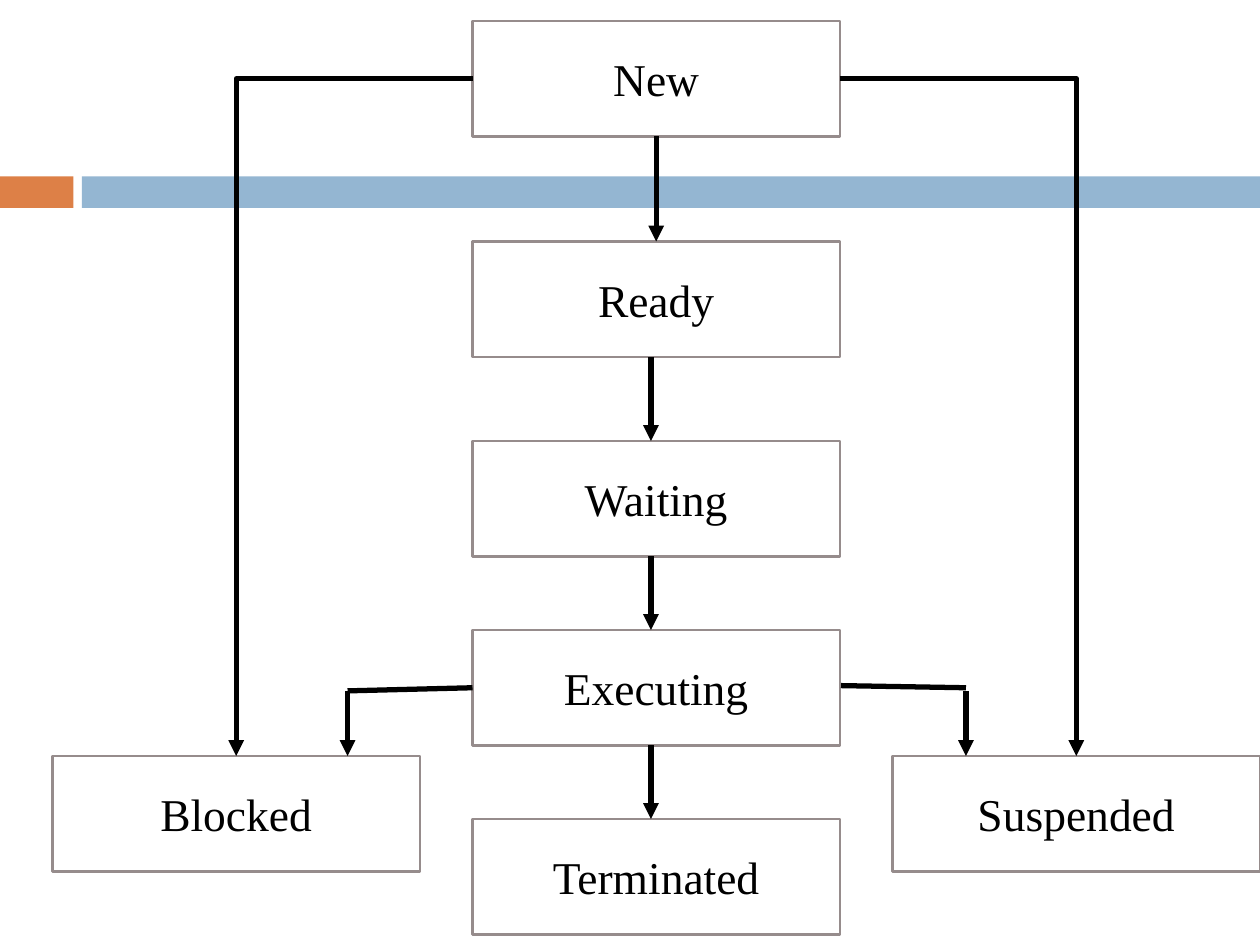
from lxml import etree
from pptx import Presentation
from pptx.dml.color import RGBColor
from pptx.enum.shapes import MSO_CONNECTOR, MSO_SHAPE
from pptx.enum.text import MSO_ANCHOR, PP_ALIGN
from pptx.oxml.ns import qn
from pptx.util import Inches, Pt

RECT = MSO_SHAPE.RECTANGLE
STRAIGHT, ELBOW = MSO_CONNECTOR.STRAIGHT, MSO_CONNECTOR.ELBOW
MIDDLE, CENTER = MSO_ANCHOR.MIDDLE, PP_ALIGN.CENTER
TOP, LEFT, BOTTOM, RIGHT = range(4)

prs = Presentation()
prs.slide_width, prs.slide_height = Inches(10), Inches(7.5)
slide = prs.slides.add_slide(prs.slide_layouts[6])
shapes = slide.shapes

# Grid of 120 columns by 90 rows
UNIT = prs.slide_width / 120
BOX_COLS, BOX_ROWS = 35, 11


def color(hex_value):
    return RGBColor.from_string(hex_value)


def add_flow(kind, start, end, arrow=True):
    flow = shapes.add_connector(kind, *(round(v * UNIT) for v in (*start, *end)))
    flow.line.color.rgb = color("000000")
    flow.line.width = Pt(3)
    if arrow:
        etree.SubElement(flow.line._ln, qn("a:tailEnd"), type="triangle")
    etree.SubElement(flow._element.spPr, qn("a:effectLst"))
    return flow


# Band across the slide
for col, width, fill in [(0, 7, "DD8047"), (7.8, 112.2, "94B6D2")]:
    band = shapes.add_shape(RECT, *(round(v * UNIT) for v in (col, 16.8, width, 3)))
    band.shadow.inherit = False
    band.fill.solid()
    band.fill.fore_color.rgb = color(fill)
    band.line.fill.background()

# Process states: left column and top row of each box
positions = {
    "New": (45, 2),
    "Ready": (45, 23),
    "Waiting": (45, 42),
    "Blocked": (5, 72),
    "Suspended": (85, 72),
    "Executing": (45, 60),
    "Terminated": (45, 78),
}
text_format = {"name": "Times New Roman", "size": Pt(26)}
states = {}
for label, (col, row) in positions.items():
    state = shapes.add_shape(
        RECT, *(round(v * UNIT) for v in (col, row, BOX_COLS, BOX_ROWS)))
    state.shadow.inherit = False
    state.fill.solid()
    state.fill.fore_color.rgb = color("FFFFFF")
    state.line.color.rgb = color("968C8C")
    state.line.width = Pt(1.5)
    state.text_frame.vertical_anchor = MIDDLE
    paragraph = state.text_frame.paragraphs[0]
    paragraph.text = label
    paragraph.alignment = CENTER
    for attribute, value in text_format.items():
        setattr(paragraph.font, attribute, value)
    paragraph.font.color.rgb = color("000000")
    states[label] = state

# Main sequence down the middle
admit = add_flow(STRAIGHT, (62.5, 13), (62.5, 23))
admit.begin_connect(states["New"], BOTTOM)
admit.end_connect(states["Ready"], TOP)
sequence = ["Ready", "Waiting", "Executing", "Terminated"]
for source, target in zip(sequence, sequence[1:]):
    add_flow(STRAIGHT, (62, positions[source][1] + BOX_ROWS),
             (62, positions[target][1]))

# From New around to the outer states
for target, side, start_col, end_col in [("Blocked", LEFT, 45, 22.5),
                                         ("Suspended", RIGHT, 80, 102.5)]:
    detour = add_flow(ELBOW, (start_col, 7.5), (end_col, 72))
    detour._element.spPr.find(qn("a:prstGeom")).set("prst", "bentConnector2")
    detour.begin_connect(states["New"], side)
    detour.end_connect(states[target], TOP)

# From Executing out and down to the outer states
leave_left = add_flow(STRAIGHT, (45, 65.5), (33.1, 65.8), arrow=False)
leave_left.begin_connect(states["Executing"], LEFT)
add_flow(STRAIGHT, (92, 65.5), (80.1, 65.3), arrow=False)
for col in (33.1, 92):
    add_flow(STRAIGHT, (col, 65.8), (col, 72))

prs.save("out.pptx")
